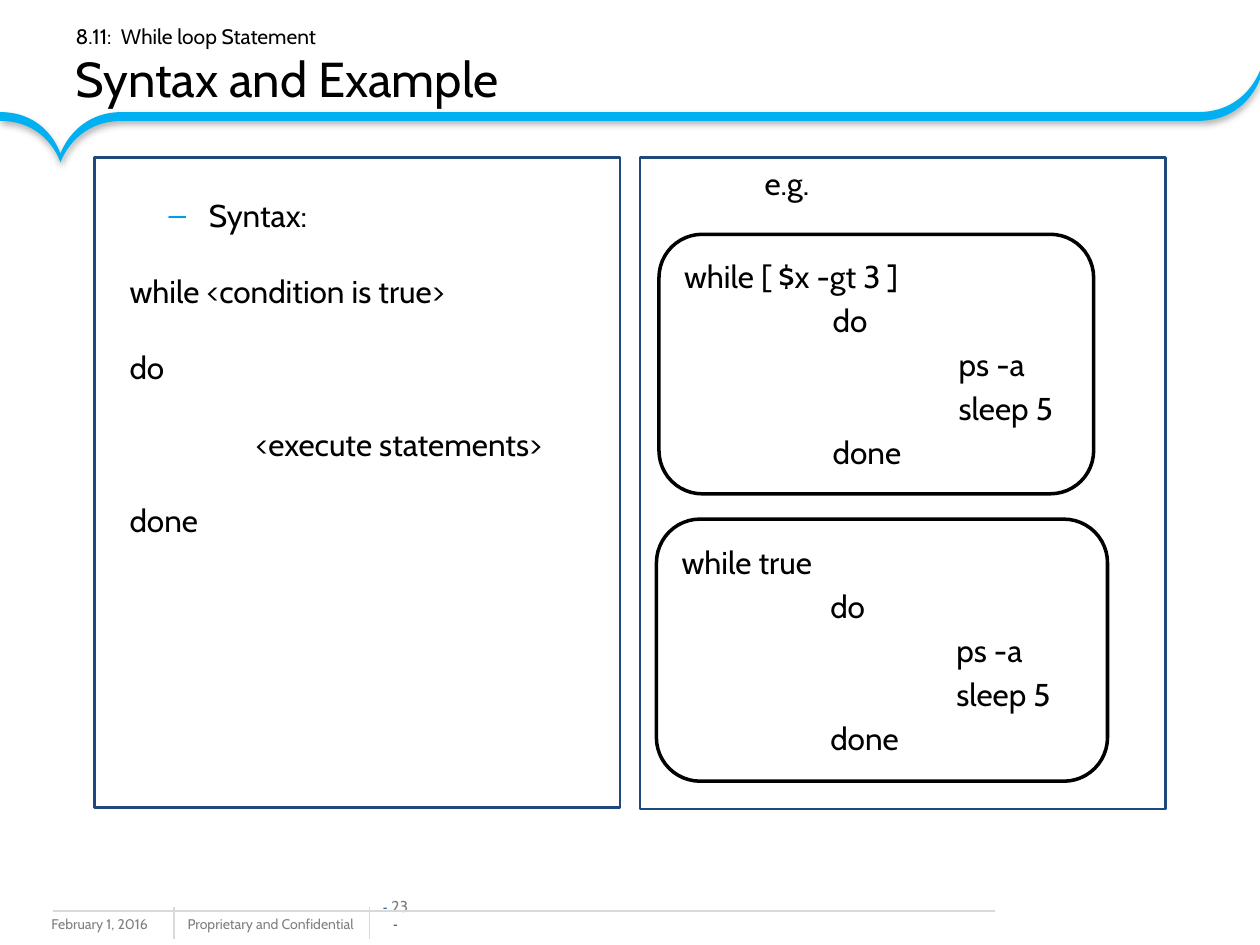
from lxml import etree
from pptx import Presentation, util as u
from pptx.dml.color import RGBColor
from pptx.enum import shapes, text
from pptx.oxml import ns

BLACK = RGBColor(0, 0, 0)
WHITE = RGBColor(255, 255, 255)
NAVY = RGBColor(0x1F, 0x49, 0x7D)
SKY = RGBColor(0x00, 0xB0, 0xF0)
DASH_BLUE = RGBColor(0x00, 0xA1, 0xE4)
GREY = RGBColor(0x80, 0x80, 0x80)
RULE_GREY = RGBColor(0xD9, 0xD9, 0xD9)


def child(parent, tag, **attributes):
    return etree.SubElement(parent, ns.qn(tag), attributes)


class SlideBuilder:
    font = "Cabin"
    body_size = 18
    space_before = 3.6

    def __init__(self, slide):
        self.slide = slide

    def style(self, run, size, color=BLACK, font=None):
        run.font.name = font or self.font
        run.font.size = u.Pt(size)
        run.font.color.rgb = color

    def title(self, box, section, heading):
        title = self.slide.shapes.title
        title.left, title.top, title.width, title.height = map(u.Inches, box)
        frame = title.text_frame
        frame.text = f"{section}\v{heading}"
        frame.auto_size = text.MSO_AUTO_SIZE.NONE
        frame.vertical_anchor = text.MSO_ANCHOR.MIDDLE
        paragraph = frame.paragraphs[0]
        paragraph.alignment = text.PP_ALIGN.LEFT
        for run, size in zip(paragraph.runs, (12, 28)):
            self.style(run, size)

    def rule(self, start, end):
        line = self.slide.shapes.add_connector(
            shapes.MSO_CONNECTOR.STRAIGHT, *map(u.Inches, start + end))
        line.line.color.rgb = RULE_GREY
        line.line.width = u.Pt(0.75)
        child(line._element.spPr, "a:effectLst")

    def footer(self, box, wording):
        frame = self.slide.shapes.add_textbox(*map(u.Inches, box)).text_frame
        frame.word_wrap = False
        frame.text = wording
        self.style(frame.paragraphs[0].runs[0], 8, GREY)

    def page_number(self, box, number):
        frame = self.slide.shapes.add_textbox(*map(u.Inches, box)).text_frame
        frame.word_wrap = True
        frame.vertical_anchor = text.MSO_ANCHOR.BOTTOM
        frame.margin_left = frame.margin_right = 0
        frame.margin_top = frame.margin_bottom = 0
        paragraph = frame.paragraphs[0]
        paragraph.alignment = text.PP_ALIGN.CENTER
        for wording, size, color, font in (
                ("- ", 8, NAVY, "Arial"),
                (f"{number} ", 9, GREY, self.font),
                ("-", 8, NAVY, "Arial")):
            run = paragraph.add_run()
            run.text = wording
            self.style(run, size, color, font)

    def ribbon(self, upper_edge, thickness):
        upper = [(u.Inches(x), u.Inches(y)) for x, y in upper_edge]
        lower = [(x, y + u.Inches(thickness)) for x, y in reversed(upper)]
        vertices = upper[::3] + lower[::3]
        builder = self.slide.shapes.build_freeform(*vertices[0])
        builder.add_line_segments(vertices[1:], close=True)
        band = builder.convert_to_shape()
        segments = list(band._element.iter(ns.qn("a:lnTo")))
        half = len(upper) // 3
        for edge, lines in ((upper, segments[:half]), (lower, segments[half + 1:])):
            for index, segment in enumerate(lines):
                segment.tag = ns.qn("a:cubicBezTo")
                segment.remove(segment[0])
                for x, y in edge[3 * index + 1:3 * index + 4]:
                    child(segment, "a:pt", x=str(x - band.left), y=str(y - band.top))
        band.fill.solid()
        band.fill.fore_color.rgb = SKY
        band.line.fill.background()
        effects = child(band._element.spPr, "a:effectLst")
        shadow = child(effects, "a:outerShdw", blurRad=str(u.Pt(4)),
                       dist=str(u.Pt(2)), dir="5400000", rotWithShape="0")
        tint = child(shadow, "a:srgbClr", val="000000")
        child(tint, "a:alpha", val="31000")

    def panel(self, kind, box, line_color, line_width, lines,
              fill=None, anchor=text.MSO_ANCHOR.TOP, line_spacing=None):
        panel = self.slide.shapes.add_shape(kind, *map(u.Inches, box))
        panel.shadow.inherit = False
        panel.line.color.rgb = line_color
        panel.line.width = u.Pt(line_width)
        if fill is None:
            panel.fill.background()
        else:
            panel.fill.solid()
            panel.fill.fore_color.rgb = fill
        frame = panel.text_frame
        frame.word_wrap = True
        frame.vertical_anchor = anchor
        frame.text = "\n".join(wording for wording, *_ in lines)
        for index, (paragraph, (_, indent, *bullet)) in enumerate(
                zip(frame.paragraphs, lines)):
            paragraph.alignment = text.PP_ALIGN.LEFT
            paragraph.space_before = u.Pt(self.space_before if index else 0)
            if line_spacing:
                paragraph.line_spacing = u.Pt(line_spacing)
            properties = paragraph._p.get_or_add_pPr()
            properties.set("marL", str(u.Inches(indent)))
            if bullet:
                paragraph.level = 1
                properties.set("indent", str(u.Inches(-0.32)))
                color = child(properties, "a:buClr")
                child(color, "a:srgbClr", val=str(DASH_BLUE))
                child(properties, "a:buFont", typeface="Arial")
                child(properties, "a:buChar", char=bullet[0])
            self.style(paragraph.runs[0], self.body_size)

    def code_box(self, box, condition):
        lines = [(condition, 0), ("do", 1.18), ("ps -a", 2.18),
                 ("sleep 5", 2.18), ("done", 1.18)]
        self.panel(shapes.MSO_SHAPE.ROUNDED_RECTANGLE, box, BLACK, 2, lines,
                   fill=WHITE, anchor=text.MSO_ANCHOR.MIDDLE)


def main():
    deck = Presentation()
    deck.slide_width, deck.slide_height = u.Inches(10), u.Inches(7.5)
    page = SlideBuilder(deck.slides.add_slide(deck.slide_layouts[5]))

    page.footer((0.31, 7.22, 1.33, 0.25), "February 1, 2016")
    page.footer((1.39, 7.22, 1.57, 0.24), "Proprietary and Confidential")
    page.page_number((3.01, 7.25, 0.26, 0.15), 23)
    for x in (1.38, 2.93):
        page.rule((x, 7.2), (x, 7.45))
    page.rule((7.9, 7.23), (0.42, 7.23))

    tip, bend, corner = (0.48, 1.22), (9.51, 0.89), (10, 0.56)
    upper_edge = [(0, 0.89), (0.38, 0.89), tip, tip,
                  tip, (0.59, 0.89), (0.97, 0.89),
                  bend, bend, bend,
                  (9.89, 0.89), corner, corner]
    page.ribbon(upper_edge, 0.07)

    page.title((0.5, 0.13, 9.17, 0.78),
               "8.11:  While loop Statement", "Syntax and Example")

    syntax = [("Syntax:", 0.81, "–"), ("while <condition is true>", 0.18),
              ("do", 0.18), ("<execute statements>", 1.18), ("done", 0.18)]
    rectangle = shapes.MSO_SHAPE.RECTANGLE
    page.panel(rectangle, (0.75, 1.25, 4.17, 5.16), NAVY, 1.5, syntax, line_spacing=40)
    page.panel(rectangle, (5.08, 1.25, 4.17, 5.17), NAVY, 1.5, [("e.g.", 0.89)])

    page.code_box((5.23, 1.86, 3.45, 2.06), "while [ $x -gt 3 ]")
    page.code_box((5.21, 4.12, 3.58, 2.08), "while true")

    deck.save("out.pptx")


if __name__ == "__main__":
    main()
